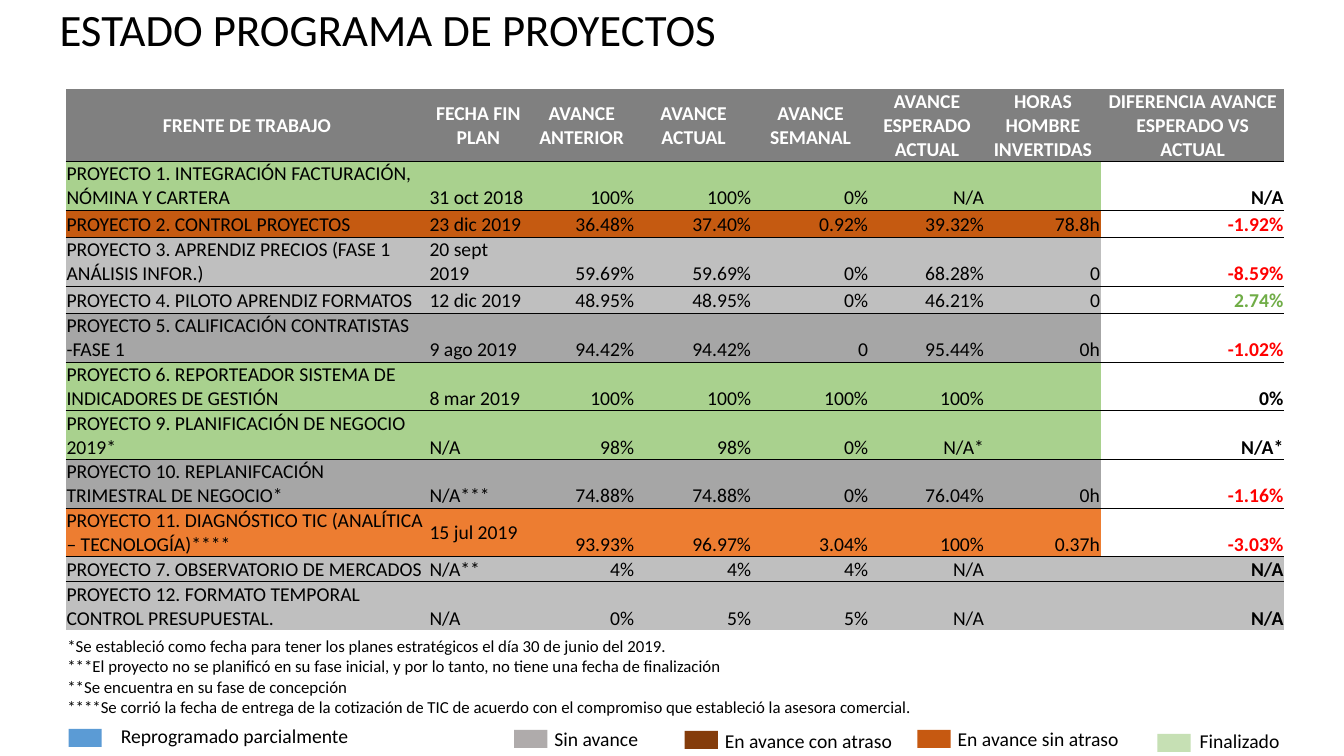
from dataclasses import dataclass

from lxml import etree
from pptx import Presentation
from pptx import util as u
from pptx.dml.color import RGBColor
from pptx.enum import shapes, text
from pptx.oxml.ns import qn

PX = 9144  # EMU per px, 100 px to the inch


@dataclass(frozen=True)
class Theme:
    font: str = "Calibri"
    title: int = 32
    body: int = 14
    note: int = 12
    black: str = "000000"
    white: str = "FFFFFF"
    head: str = "808080"
    done: str = "A9D18E"
    late: str = "C55A11"
    warm: str = "ED7D31"
    pale: str = "BFBFBF"
    gray: str = "A6A6A6"
    minus: str = "FF0000"
    plus: str = "70AD47"


T = Theme()
MID, LOW = text.MSO_ANCHOR.MIDDLE, text.MSO_ANCHOR.BOTTOM
LEFT, MIDDLE, RIGHT = text.PP_ALIGN.LEFT, text.PP_ALIGN.CENTER, text.PP_ALIGN.RIGHT
NO_STYLE = "{2D5ABB26-0587-4C30-8999-92F81FD0307C}"

COLS = [360, 99, 106, 116, 116, 115, 115, 182]
ROWS = [71, 48, 27, 48, 27, 48, 48, 48, 48, 48, 24, 48]
HEADS = ["FRENTE DE TRABAJO", "FECHA FIN PLAN", "AVANCE ANTERIOR",
         "AVANCE ACTUAL", "AVANCE SEMANAL", "AVANCE ESPERADO ACTUAL",
         "HORAS HOMBRE INVERTIDAS", "DIFERENCIA AVANCE ESPERADO VS ACTUAL"]

# Row fill, fill of the last column, cell texts
WORK = [
    (T.done, T.white, ["PROYECTO 1. INTEGRACIÓN FACTURACIÓN, NÓMINA Y CARTERA",
                       "31 oct 2018", "100%", "100%", "0%", "N/A", "", "N/A"]),
    (T.late, T.white, ["PROYECTO 2. CONTROL PROYECTOS", "23 dic 2019",
                       "36.48%", "37.40%", "0.92%", "39.32%", "78.8h", "-1.92%"]),
    (T.pale, T.white, ["PROYECTO 3. APRENDIZ PRECIOS (FASE 1 ANÁLISIS INFOR.)",
                       "20 sept 2019", "59.69%", "59.69%", "0%", "68.28%", "0", "-8.59%"]),
    (T.pale, T.white, ["PROYECTO 4. PILOTO APRENDIZ FORMATOS", "12 dic 2019",
                       "48.95%", "48.95%", "0%", "46.21%", "0", "2.74%"]),
    (T.gray, T.white, ["PROYECTO 5. CALIFICACIÓN CONTRATISTAS -FASE 1", "9 ago 2019",
                       "94.42%", "94.42%", "0", "95.44%", "0h", "-1.02%"]),
    (T.done, T.white, ["PROYECTO 6. REPORTEADOR SISTEMA DE INDICADORES DE GESTIÓN",
                       "8 mar 2019", "100%", "100%", "100%", "100%", "", "0%"]),
    (T.done, T.white, ["PROYECTO 9. PLANIFICACIÓN DE NEGOCIO 2019*", "N/A",
                       "98%", "98%", "0%", "N/A*", "", "N/A*"]),
    (T.gray, T.white, ["PROYECTO 10. REPLANIFCACIÓN TRIMESTRAL DE NEGOCIO*", "N/A***",
                       "74.88%", "74.88%", "0%", "76.04%", "0h", "-1.16%"]),
    (T.warm, T.white, ["PROYECTO 11. DIAGNÓSTICO TIC (ANALÍTICA – TECNOLOGÍA)****",
                       "15 jul 2019", "93.93%", "96.97%", "3.04%", "100%", "0.37h", "-3.03%"]),
    (T.pale, T.pale, ["PROYECTO 7. OBSERVATORIO DE MERCADOS", "N/A**",
                      "4%", "4%", "4%", "N/A", "", "N/A"]),
    (T.pale, T.pale, ["PROYECTO 12. FORMATO TEMPORAL CONTROL PRESUPUESTAL.", "N/A",
                      "0%", "5%", "5%", "N/A", "", "N/A"]),
]
NOTES = [
    "*Se estableció como fecha para tener los planes estratégicos el día 30 de junio del 2019.",
    "***El proyecto no se planificó en su fase inicial, y por lo tanto, no tiene una fecha de finalización",
    "**Se encuentra en su fase de concepción",
    "****Se corrió la fecha de entrega de la cotización de TIC de acuerdo con el compromiso "
    "que estableció la asesora comercial.",
]
# Swatch fill, left, top; label, left, top, width
KEYS = [
    ("5B9BD5", 68, 723, "Reprogramado parcialmente", 110, 713, 297),
    ("AFABAB", 510, 724, "Sin avance", 540, 716, 130),
    ("843C0B", 679, 725, "En avance con atraso", 709, 718, 193),
    ("C65911", 910, 724, "En avance sin atraso", 940, 716, 193),
    ("C6E0B4", 1148, 728, "Finalizado", 1180, 718, 102),
]


def scale(*sizes):
    return [u.Emu(size * PX) for size in sizes]


def paint(item, tone):
    item.fill.solid()
    item.fill.fore_color.rgb = RGBColor.from_string(tone)


def add_run(para, words, size, tone=T.black, bold=False):
    run = para.add_run()
    run.text = words
    run.font.name = T.font
    run.font.size = u.Pt(size)
    run.font.bold = bold
    run.font.color.rgb = RGBColor.from_string(tone)


def add_title(slide, words, *box):
    title = slide.shapes.title
    title.left, title.top, title.width, title.height = scale(*box)
    frame = title.text_frame
    frame.auto_size = text.MSO_AUTO_SIZE.NONE
    frame.vertical_anchor = text.MSO_ANCHOR.TOP
    frame.paragraphs[0].alignment = LEFT
    add_run(frame.paragraphs[0], words, T.title)


def add_text(slide, lines, size, *box):
    frame = slide.shapes.add_textbox(*scale(*box)).text_frame
    frame.word_wrap = True
    for i, line in enumerate(lines):
        para = frame.add_paragraph() if i else frame.paragraphs[0]
        add_run(para, line, size)


def add_key(slide, tone, left, top, label, x, y, width):
    swatch = slide.shapes.add_shape(
        shapes.MSO_SHAPE.RECTANGLE, *scale(left, top, 33, 18))
    swatch.shadow.inherit = False
    swatch.line.fill.background()
    paint(swatch, tone)
    add_text(slide, [label], T.body, x, y, width, 34)


def add_edge(cell, tag):
    """Put a thin black line on one side; tag is lnT or lnB."""
    line = etree.Element(qn("a:" + tag), w=str(u.Pt(0.5)))
    fill = etree.SubElement(line, qn("a:solidFill"))
    etree.SubElement(fill, qn("a:srgbClr"), val=T.black)
    cell._tc.get_or_add_tcPr().insert(0, line)


def fill_cell(cell, words, back, align, anchor, tone=T.black, bold=False):
    cell.margin_left, cell.margin_top, cell.margin_right = scale(1, 1, 1)
    cell.margin_bottom = 0
    cell.vertical_anchor = anchor
    paint(cell, back)
    para = cell.text_frame.paragraphs[0]
    para.alignment = align
    if words:
        add_run(para, words, T.body, tone, bold)
    else:
        etree.SubElement(para._p, qn("a:endParaRPr"), sz=str(T.body * 100))


def gap_tone(words):
    if words.startswith("-"):
        return T.minus
    return T.plus if words.strip("0%")[:1].isdigit() else T.black


def add_grid(slide, left, top):
    frame = slide.shapes.add_table(
        len(ROWS), len(COLS), *scale(left, top, sum(COLS), sum(ROWS)))
    grid = frame.table
    grid.first_row = grid.horz_banding = False
    grid._tbl.tblPr.find(qn("a:tableStyleId")).text = NO_STYLE
    for col, width in zip(grid.columns, scale(*COLS)):
        col.width = width
    for row, height in zip(grid.rows, scale(*ROWS)):
        row.height = height

    for c, words in enumerate(HEADS):
        fill_cell(grid.cell(0, c), words, T.head, MIDDLE, MID, T.white, True)
    end = len(COLS) - 1
    for r, (back, side, cells) in enumerate(WORK, 1):
        for c, words in enumerate(cells):
            last = c == end
            anchor = MID if back == T.warm and c == 1 else LOW
            fill_cell(grid.cell(r, c), words, side if last else back,
                      RIGHT if c > 1 else LEFT, anchor,
                      gap_tone(words) if last else T.black, last)

    for r in range(len(ROWS)):
        for c in range(len(COLS)):
            if r < len(ROWS) - 1:
                add_edge(grid.cell(r, c), "lnB")
            if r:
                add_edge(grid.cell(r, c), "lnT")


def main():
    deck = Presentation()
    deck.slide_width, deck.slide_height = scale(1333, 750)
    slide = deck.slides.add_slide(deck.slide_layouts[5])
    add_title(slide, "ESTADO PROGRAMA DE PROYECTOS", 49, -3, 957, 64)
    add_grid(slide, 65, 88)
    add_text(slide, NOTES, T.note, 57, 626, 1217, 91)
    for key in KEYS:
        add_key(slide, *key)
    deck.save("out.pptx")


if __name__ == "__main__":
    main()
